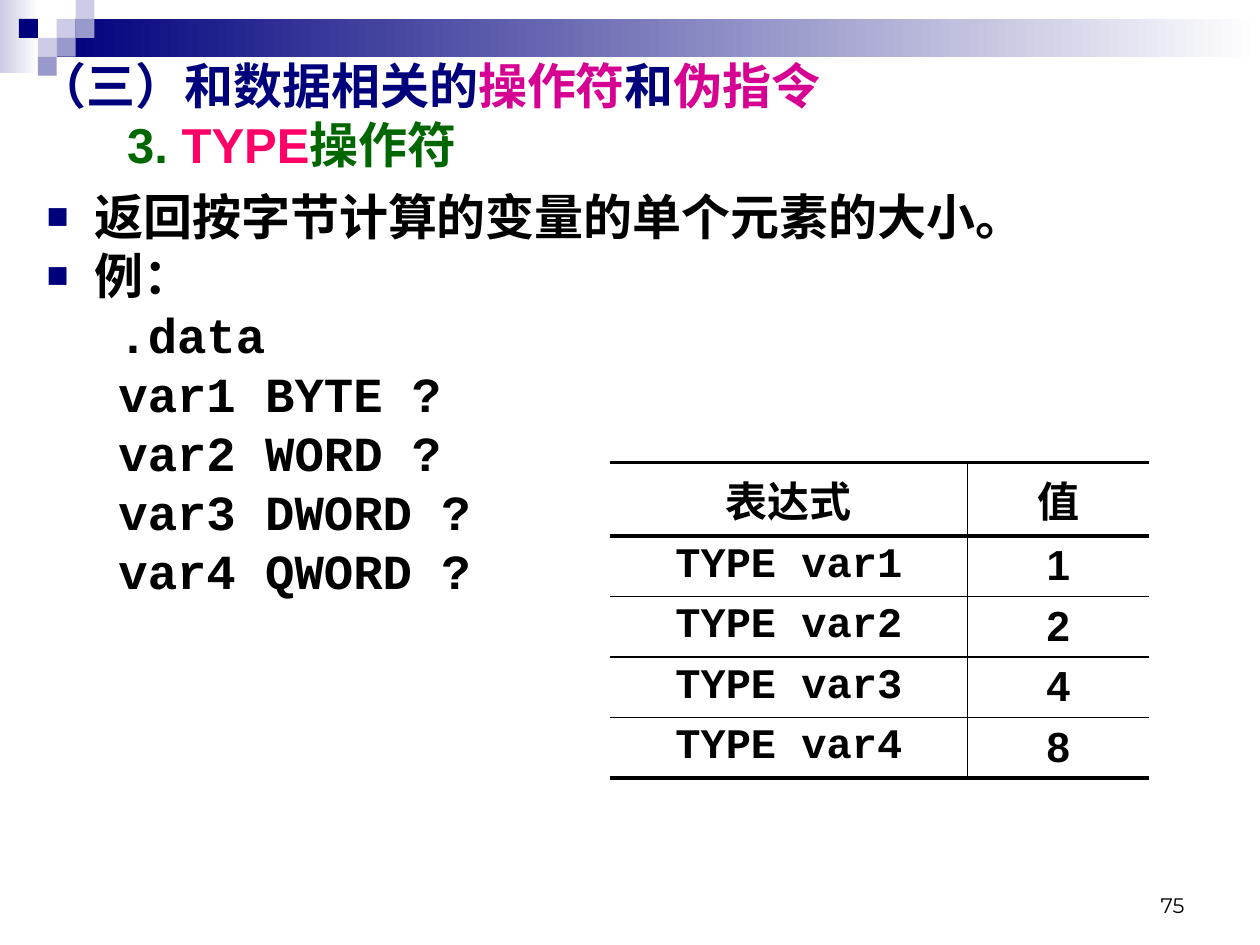
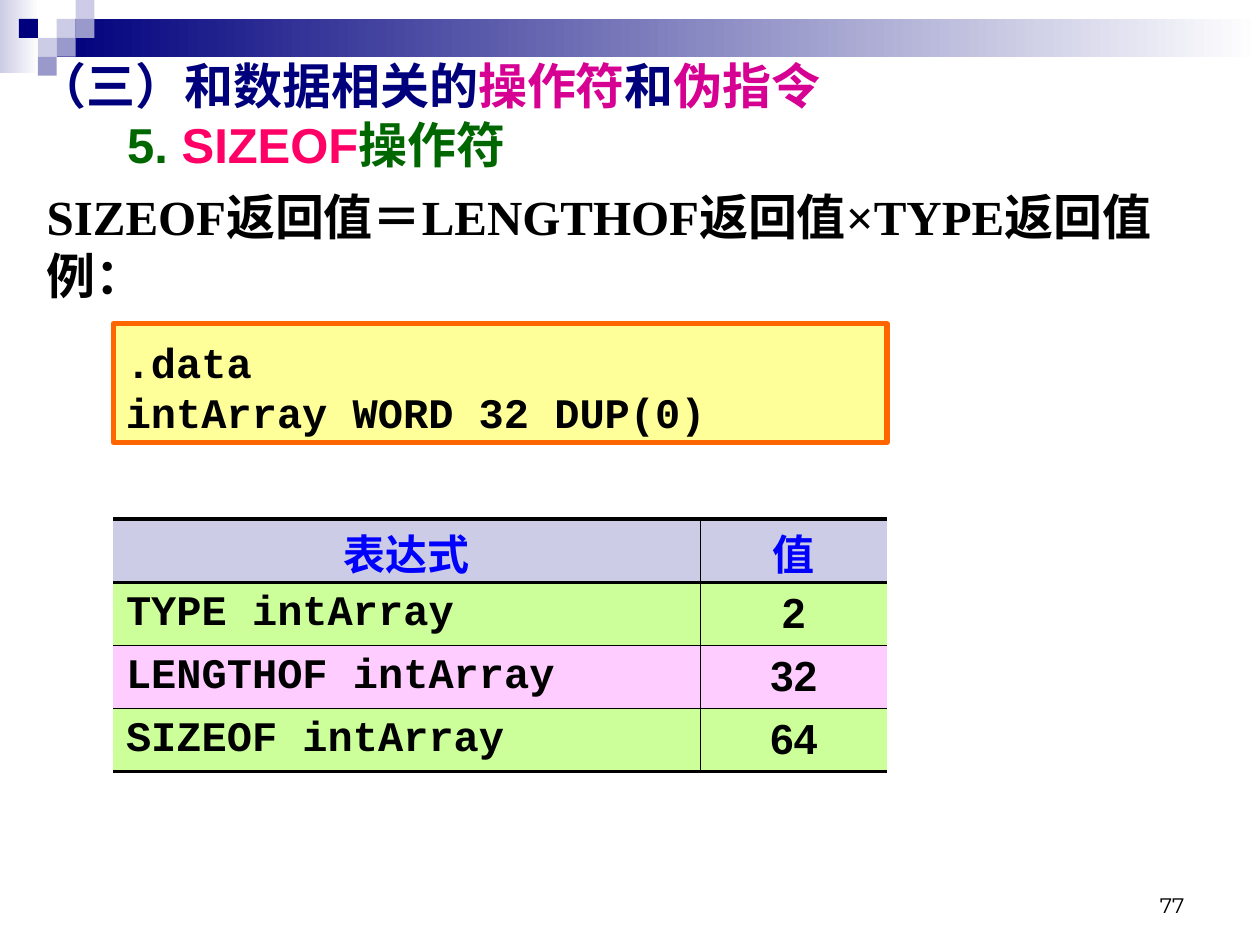
from dataclasses import dataclass
from typing import NamedTuple

from lxml import etree
from pptx import Presentation
from pptx.dml.color import RGBColor
from pptx.enum.shapes import MSO_SHAPE
from pptx.enum.text import MSO_ANCHOR, MSO_AUTO_SIZE, PP_ALIGN
from pptx.oxml.ns import qn
from pptx.util import Inches, Pt

RECTANGLE = MSO_SHAPE.RECTANGLE
TOP, MIDDLE, BOTTOM = MSO_ANCHOR.TOP, MSO_ANCHOR.MIDDLE, MSO_ANCHOR.BOTTOM
LEFT, CENTER, RIGHT = PP_ALIGN.LEFT, PP_ALIGN.CENTER, PP_ALIGN.RIGHT
FIXED_SIZE = MSO_AUTO_SIZE.NONE

# Palette and fonts
BLACK = RGBColor(0x00, 0x00, 0x00)
WHITE = RGBColor(0xFF, 0xFF, 0xFF)
NAVY = RGBColor(0x00, 0x00, 0x7D)
LAVENDER = RGBColor(0xCC, 0xCC, 0xE6)
PERIWINKLE = RGBColor(0x99, 0x99, 0xCC)
MAGENTA = RGBColor(0xD6, 0x00, 0x93)
GREEN = RGBColor(0x00, 0x66, 0x00)
ROSE = RGBColor(0xFF, 0x00, 0x66)
BLUE = RGBColor(0x00, 0x00, 0xFF)
YELLOW = RGBColor(0xFF, 0xFF, 0x99)
ORANGE = RGBColor(0xFF, 0x66, 0x00)
LIME = RGBColor(0xCC, 0xFF, 0x99)
PINK = RGBColor(0xFF, 0xCC, 0xFF)
SANS, SERIF, CODE, NUMBER = "Arial", "Times New Roman", "Courier New", "Montserrat"

# The slide is a grid of 100 columns and 75 rows
COLUMNS, ROWS = 100, 75
SLIDE_WIDTH, SLIDE_HEIGHT = Inches(10), Inches(7.5)
UNIT = SLIDE_WIDTH // COLUMNS
TILE = 1.5
LARGE_LEADING = Pt(33.7)
CODE_LEADING = Pt(28.6)
THICK, THIN, HAIR = 2.25, 1, 0.75


class Box(NamedTuple):
    left: float
    top: float
    width: float
    height: float

    def emu(self) -> list[int]:
        return [round(length * UNIT) for length in self]


class Tile(NamedTuple):
    column: int
    row: int
    color: RGBColor


class Line(NamedTuple):
    text: str
    bullet: bool = False
    code: bool = False


@dataclass
class ValueTable:
    box: Box
    columns: tuple[float, float]
    header_height: float
    row_height: float
    rows: list[tuple[str, str]]
    rules: list[float]
    expression_align: PP_ALIGN = CENTER
    header_color: RGBColor = BLACK
    header_fill: RGBColor | None = None
    row_fills: tuple[RGBColor | None, ...] = (None,)
    header_margins: tuple[float, float] = (0.5, 0.5)


TITLE_BOX = Box(2, 3.6, 96.1, 11)
BODY_BOX = Box(2.7, 14.3, 95.3, 59.5)
PAGE_BOX = Box(71.7, 68.3, 23.3, 5)
CODE_BOX = Box(9, 25.7, 61.4, 9.4)
FADES = [(Box(0, 0, 3.1, 5.8), LAVENDER), (Box(4.5, TILE, 95.5, 3), NAVY)]
TILES = [
    Tile(2, 1, LAVENDER), Tile(3, 0, LAVENDER), Tile(3, 1, PERIWINKLE),
    Tile(1, 2, LAVENDER), Tile(0, 1, NAVY), Tile(2, 2, PERIWINKLE),
    Tile(1, 3, PERIWINKLE),
]


def style(paragraph, size: float, font: str, color: RGBColor, bold: bool = True) -> None:
    for run in paragraph.runs:
        run.font.size, run.font.name, run.font.bold = Pt(size), font, bold
        run.font.color.rgb = color


def indent(paragraph, left: float, first: float) -> None:
    properties = paragraph._p.get_or_add_pPr()
    properties.set("marL", str(Inches(left)))
    properties.set("indent", str(Inches(first)))


def set_bullet(paragraph, shown: bool) -> None:
    properties = paragraph._p.get_or_add_pPr()
    if not shown:
        etree.SubElement(properties, qn("a:buNone"))
        return
    color = etree.SubElement(properties, qn("a:buClr"))
    etree.SubElement(color, qn("a:srgbClr"), val=str(NAVY))
    etree.SubElement(properties, qn("a:buSzPct"), val="75000")
    etree.SubElement(properties, qn("a:buFont"), typeface=SANS)
    etree.SubElement(properties, qn("a:buChar"), char="■")


def add_block(slide, box: Box):
    block = slide.shapes.add_shape(RECTANGLE, *box.emu())
    block.shadow.inherit = False
    return block


def add_band(slide) -> None:
    blocks = []
    for box, color in FADES:
        fade = add_block(slide, box)
        fade.fill.gradient()
        fade.fill.gradient_angle = 0
        for stop, shade in zip(fade.fill.gradient_stops, (color, WHITE)):
            stop.color.rgb = shade
        blocks.append(fade)
    for tile in TILES:
        square = add_block(slide, Box((tile.column + 1) * TILE, tile.row * TILE, TILE, TILE))
        square.fill.solid()
        square.fill.fore_color.rgb = tile.color
        blocks.append(square)
    # The band lies behind the title
    for block in blocks:
        block.line.fill.background()
        slide.shapes.title.element.addprevious(block.element)


def place(holder, box: Box, anchor: MSO_ANCHOR):
    holder.left, holder.top, holder.width, holder.height = box.emu()
    frame = holder.text_frame
    frame.word_wrap, frame.auto_size = True, FIXED_SIZE
    frame.vertical_anchor = anchor
    return frame


def fill_title(slide, number: str, operator: str) -> None:
    frame = place(slide.shapes.title, TITLE_BOX, MIDDLE)
    lines = [
        [("（三）和数据相关的", NAVY), ("操作符", MAGENTA), ("和", NAVY), ("伪指令", MAGENTA)],
        [(number, GREEN), (operator, ROSE), ("操作符", GREEN)],
    ]
    for index, pieces in enumerate(lines):
        paragraph = frame.add_paragraph() if index else frame.paragraphs[0]
        paragraph.alignment, paragraph.line_spacing = LEFT, LARGE_LEADING
        indent(paragraph, 0.71 * index, 0)
        for text, color in pieces:
            run = paragraph.add_run()
            run.text = text
            run.font.size, run.font.name, run.font.bold = Pt(28), SANS, True
            run.font.color.rgb = color


def fill_body(slide, lines: list[Line]) -> None:
    frame = place(slide.placeholders[1], BODY_BOX, TOP)
    frame.text = "\n".join(line.text for line in lines)
    for paragraph, line in zip(frame.paragraphs, lines):
        paragraph.level = int(line.code)
        paragraph.line_spacing, paragraph.space_before = LARGE_LEADING, Pt(0)
        indent(paragraph, *((0.89, -0.32) if line.code else (0.38, -0.38)))
        set_bullet(paragraph, line.bullet)
        style(paragraph, 28, CODE if line.code else SERIF, BLACK)


def add_page_number(slide, page: int) -> None:
    frame = place(slide.shapes.add_textbox(*PAGE_BOX.emu()), PAGE_BOX, BOTTOM)
    frame.text = str(page)
    frame.paragraphs[0].alignment = RIGHT
    style(frame.paragraphs[0], 12, NUMBER, BLACK, bold=False)


def add_code_box(slide, code: str) -> None:
    panel = add_block(slide, CODE_BOX)
    panel.fill.solid()
    panel.fill.fore_color.rgb = YELLOW
    panel.line.color.rgb, panel.line.width = ORANGE, Pt(3)
    frame = place(panel, CODE_BOX, TOP)
    frame.margin_top = Inches(0.1)
    frame.text = code
    for paragraph in frame.paragraphs:
        paragraph.alignment, paragraph.line_spacing = LEFT, CODE_LEADING
        style(paragraph, 24, CODE, BLACK)


def set_borders(cell, **widths: float) -> None:
    """Rule the sides L, R, T and B; a width of 0 hides a side."""
    properties = cell._tc.get_or_add_tcPr()
    for position, (side, width) in enumerate(widths.items()):
        rule = etree.Element(qn(f"a:ln{side}"), w=str(Pt(width)))
        if width:
            solid = etree.SubElement(rule, qn("a:solidFill"))
            etree.SubElement(solid, qn("a:srgbClr"), val=str(BLACK))
        else:
            etree.SubElement(rule, qn("a:noFill"))
        properties.insert(position, rule)


def add_value_table(slide, values: ValueTable) -> None:
    rows = [("表达式", "值"), *values.rows]
    table = slide.shapes.add_table(len(rows), 2, *values.box.emu()).table
    table.first_row = table.horz_banding = False
    for column, width in zip(table.columns, values.columns):
        column.width = round(width * UNIT)
    for r, texts in enumerate(rows):
        header = r == 0
        table.rows[r].height = round((values.header_height if header else values.row_height) * UNIT)
        fill = values.header_fill if header else values.row_fills[(r - 1) % len(values.row_fills)]
        for c, text in enumerate(texts):
            cell = table.cell(r, c)
            cell.text = text
            cell.vertical_anchor = MIDDLE
            if header:
                cell.margin_top, cell.margin_bottom = (round(m * UNIT) for m in values.header_margins)
            expression = c == 0 and not header
            paragraph = cell.text_frame.paragraphs[0]
            paragraph.alignment = values.expression_align if expression else CENTER
            style(paragraph, 24, CODE if expression else SANS, values.header_color if header else BLACK)
            if fill is None:
                cell.fill.background()
            else:
                cell.fill.solid()
                cell.fill.fore_color.rgb = fill
            set_borders(cell, L=THIN * c, R=THIN * (1 - c), T=values.rules[r], B=values.rules[r + 1])


def add_lesson(deck, page: int, number: str, operator: str, lines: list[Line], values: ValueTable):
    slide = deck.slides.add_slide(deck.slide_layouts[1])
    add_band(slide)
    add_page_number(slide, page)
    fill_body(slide, lines)
    fill_title(slide, number, operator)
    add_value_table(slide, values)
    return slide


def main() -> None:
    deck = Presentation()
    deck.slide_width, deck.slide_height = SLIDE_WIDTH, UNIT * ROWS

    # TYPE operator
    declarations = [".data", "var1 BYTE ?", "var2 WORD ?", "var3 DWORD ?", "var4 QWORD ?"]
    add_lesson(
        deck, 75, "3. ", "TYPE",
        [Line("返回按字节计算的变量的单个元素的大小。", bullet=True), Line("例：", bullet=True),
         *(Line(text, code=True) for text in declarations)],
        ValueTable(
            Box(48.4, 36.7, 42.8, 25), (28.4, 14.4), 5.8, 4.8,
            [(f"TYPE var{n}", str(2 ** (n - 1))) for n in range(1, 5)],
            [THICK, THICK, THIN, THIN, THIN, THICK],
        ),
    )

    # SIZEOF operator
    sizeof = add_lesson(
        deck, 77, "5. ", "SIZEOF",
        [Line("SIZEOF返回值＝LENGTHOF返回值×TYPE返回值"), Line("例：")],
        ValueTable(
            Box(9, 41.2, 61.4, 20), (46.6, 14.8), 5, 5,
            [("TYPE intArray", "2"), ("LENGTHOF intArray", "32"), ("SIZEOF intArray", "64")],
            [THICK, THICK, HAIR, THIN, THICK],
            expression_align=LEFT, header_color=BLUE, header_fill=LAVENDER,
            row_fills=(LIME, PINK), header_margins=(0.2, 0),
        ),
    )
    add_code_box(sizeof, ".data\nintArray WORD 32 DUP(0)")
    deck.save("out.pptx")


if __name__ == "__main__":
    main()
